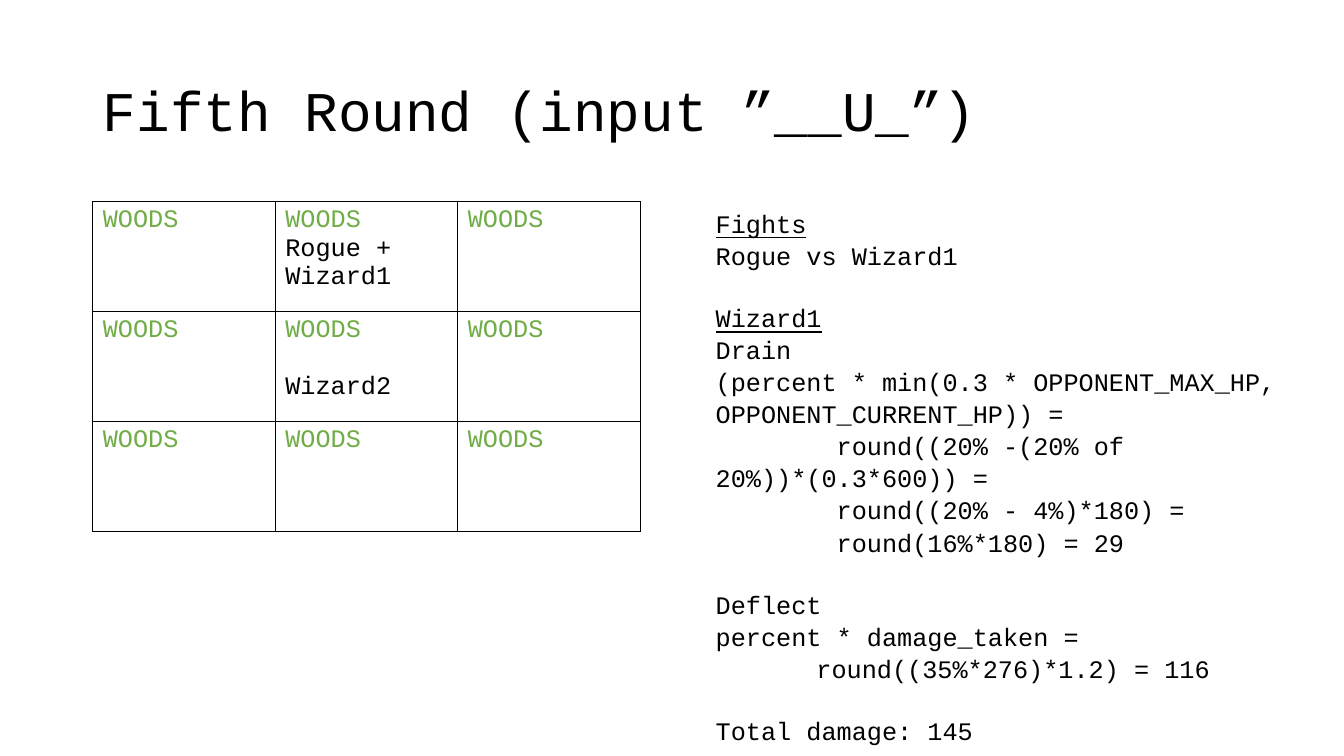
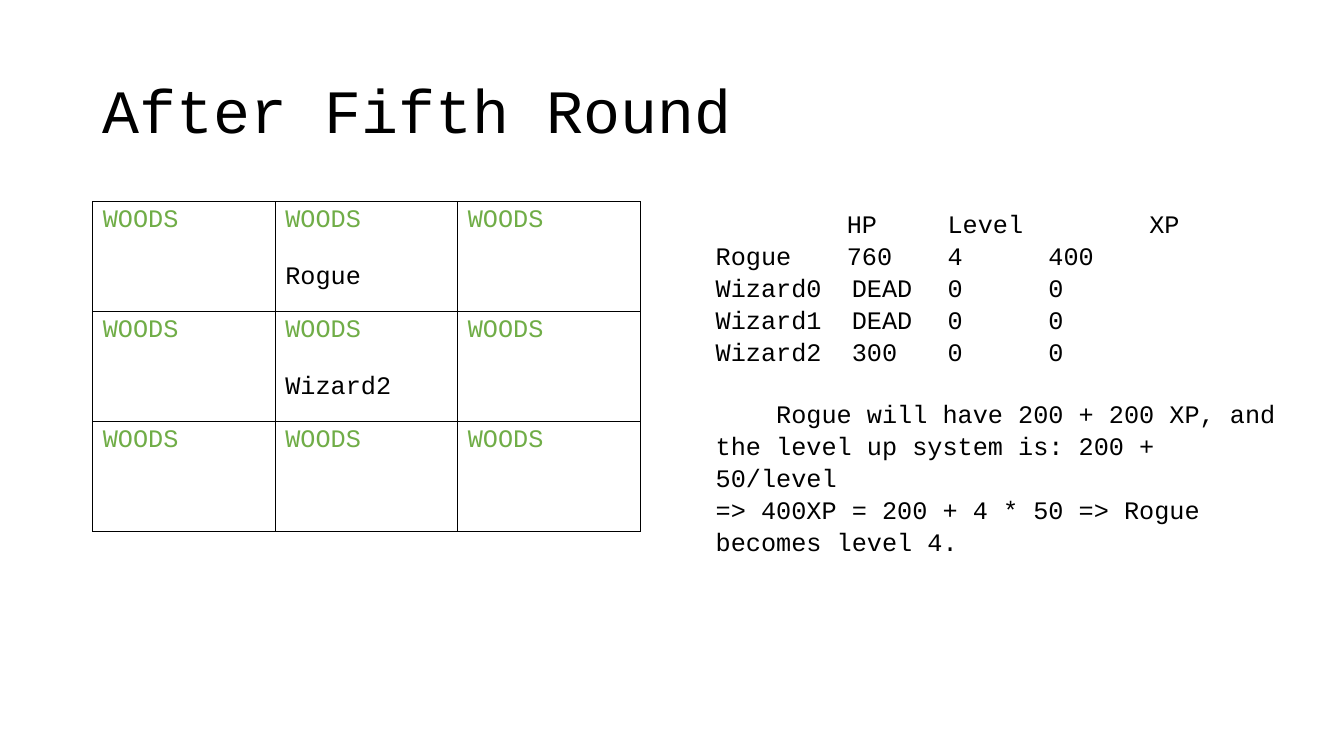
from dataclasses import dataclass
from typing import Any

import pptx
import pptx.dml.color
import pptx.enum.text
import pptx.oxml.ns
import pptx.presentation
import pptx.slide
import pptx.text.text
import pptx.util
from lxml import etree

Inches = pptx.util.Inches
Pt = pptx.util.Pt
RGBColor = pptx.dml.color.RGBColor
qn = pptx.oxml.ns.qn

# Shared look
BLACK = RGBColor(0x00, 0x00, 0x00)
GREEN = RGBColor(0x70, 0xAD, 0x47)
WHITE = RGBColor(0xFF, 0xFF, 0xFF)
FONT = "Courier New"
BODY_SIZE = Pt(18)
CELL_GAP = 20.4  # one text line in a map cell, in points
REPORT_GAP = 21.6  # one text line in the report, in points
REPORT_SPACING = 1.06

# Shared layout
TITLE_BOX = {"left": Inches(0.92), "top": Inches(0.4),
             "width": Inches(11.5), "height": Inches(1.45)}
MAP_LEFT, MAP_TOP = Inches(0.92), Inches(2)
CELL_WIDTH, CELL_HEIGHT = Inches(1.81), Inches(1.09)
MAP_SIZE = 3
REPORT_LEFT, REPORT_TOP = Inches(7), Inches(2)


@dataclass(frozen=True)
class Line:
    """One paragraph of the report; indent and tabs are in inches."""
    text: str
    underline: bool = False
    gap: bool = False
    indent: float = 0
    tabs: tuple[float, ...] = ()


@dataclass(frozen=True)
class Occupant:
    row: int
    col: int
    text: str
    gap: bool = True


@dataclass(frozen=True)
class Round:
    title: str
    title_size: int
    occupants: tuple[Occupant, ...]
    report: tuple[Line, ...]
    report_width: float
    report_height: float


WIZARD2 = Occupant(1, 1, "Wizard2")
ROW_TABS = (1.3, 2.3, 3.3)
WIZARD_TABS = (1.35, 2.3, 3.3)

ROUNDS = (
    Round(
        "Fifth Round (input ”__U_”)", 40,
        (Occupant(0, 1, "Rogue + Wizard1", gap=False), WIZARD2),
        (
            Line("Fights", underline=True),
            Line("Rogue vs Wizard1"),
            Line("Wizard1", underline=True, gap=True),
            Line("Drain"),
            Line("(percent * min(0.3 * OPPONENT_MAX_HP, OPPONENT_CURRENT_HP)) ="),
            Line("round((20% -(20% of 20%))*(0.3*600)) =", indent=1.2),
            Line("round((20% - 4%)*180) =", indent=1.2),
            Line("round(16%*180) = 29", indent=1.2),
            Line("Deflect", gap=True),
            Line("percent * damage_taken ="),
            Line("round((35%*276)*1.2) = 116", indent=1),
            Line("Total damage: 145", gap=True),
        ),
        6, 5.25,
    ),
    Round(
        "After Fifth Round", 44,
        (Occupant(0, 1, "Rogue"), WIZARD2),
        (
            Line("\tHP\tLevel\tXP", tabs=(1.3, 2.3, 4.3)),
            Line("Rogue\t760\t4\t400", tabs=ROW_TABS),
            Line("Wizard0\tDEAD\t0\t0", tabs=WIZARD_TABS),
            Line("Wizard1\tDEAD\t0\t0", tabs=WIZARD_TABS),
            Line("Wizard2\t300\t0\t0", tabs=WIZARD_TABS),
            Line("Rogue will have 200 + 200 XP, and the level up system is: "
                 "200 + 50/level", gap=True, indent=0.6),
            Line("=> 400XP = 200 + 4 * 50 => Rogue becomes level 4."),
        ),
        5.78, 3.13,
    ),
)


def set_format(obj: Any, values: dict[str, Any]) -> None:
    for name, value in values.items():
        setattr(obj, name, value)


def add_run(p: pptx.text.text._Paragraph, text: str, color: RGBColor = BLACK,
            size: int = BODY_SIZE, underline: bool = False) -> None:
    r = p.add_run()
    r.text = text
    set_format(r.font, {"name": FONT, "size": size, "underline": underline})
    r.font.color.rgb = color


def add_title(s: pptx.slide.Slide, text: str, size: int) -> None:
    sp = s.shapes.title
    set_format(sp, TITLE_BOX)
    tf = sp.text_frame
    set_format(tf, {"word_wrap": True,
                    "auto_size": pptx.enum.text.MSO_AUTO_SIZE.NONE,
                    "vertical_anchor": pptx.enum.text.MSO_ANCHOR.MIDDLE})
    p = tf.paragraphs[0]
    set_format(p, {"alignment": pptx.enum.text.PP_ALIGN.LEFT,
                   "line_spacing": 0.9})
    add_run(p, text, size=Pt(size))


def add_borders(cell: Any) -> None:
    """Draw a thin black line on all four sides, ahead of the cell fill."""
    tc_pr = cell._tc.get_or_add_tcPr()
    for i, side in enumerate(("a:lnL", "a:lnR", "a:lnT", "a:lnB")):
        ln = etree.Element(qn(side), w=str(Pt(1)))
        fill = etree.SubElement(ln, qn("a:solidFill"))
        etree.SubElement(fill, qn("a:srgbClr"), val=str(BLACK))
        tc_pr.insert(i, ln)


def add_map(s: pptx.slide.Slide, occupants: tuple[Occupant, ...]) -> None:
    table = s.shapes.add_table(MAP_SIZE, MAP_SIZE, MAP_LEFT, MAP_TOP,
                               CELL_WIDTH * MAP_SIZE,
                               CELL_HEIGHT * MAP_SIZE).table
    set_format(table, {"first_row": False, "horz_banding": False})
    for cell in table.iter_cells():
        cell.fill.background()
        add_borders(cell)
        add_run(cell.text_frame.paragraphs[0], "WOODS", GREEN)
    for occupant in occupants:
        p = table.cell(occupant.row, occupant.col).text_frame.add_paragraph()
        if occupant.gap:
            p.space_before = Pt(CELL_GAP)
        add_run(p, occupant.text)


def add_report(s: pptx.slide.Slide, lines: tuple[Line, ...],
               width: float, height: float) -> None:
    sp = s.shapes.add_textbox(REPORT_LEFT, REPORT_TOP,
                              Inches(width), Inches(height))
    tf = sp.text_frame
    set_format(tf, {"word_wrap": True,
                    "auto_size": pptx.enum.text.MSO_AUTO_SIZE.SHAPE_TO_FIT_TEXT})
    for i, line in enumerate(lines):
        p = tf.add_paragraph() if i else tf.paragraphs[0]
        p.line_spacing = REPORT_SPACING
        if line.gap:
            p.space_before = Pt(REPORT_GAP)
        p_pr = p._p.get_or_add_pPr()
        if line.indent:
            p_pr.set("marL", "0")
            p_pr.set("indent", str(Inches(line.indent)))
        if line.tabs:
            tab_list = etree.SubElement(p_pr, qn("a:tabLst"))
            for tab in line.tabs:
                etree.SubElement(tab_list, qn("a:tab"),
                                 pos=str(Inches(tab)), algn="l")
        add_run(p, line.text, underline=line.underline)


def add_round(prs: pptx.presentation.Presentation, game_round: Round) -> None:
    s = prs.slides.add_slide(prs.slide_layouts.get_by_name("Title Only"))
    s.background.fill.solid()
    s.background.fill.fore_color.rgb = WHITE
    add_title(s, game_round.title, game_round.title_size)
    add_map(s, game_round.occupants)
    add_report(s, game_round.report, game_round.report_width,
               game_round.report_height)


def main() -> None:
    prs = pptx.Presentation()
    set_format(prs, {"slide_width": Inches(13.33), "slide_height": Inches(7.5)})
    for game_round in ROUNDS:
        add_round(prs, game_round)
    prs.save("out.pptx")


if __name__ == "__main__":
    main()
